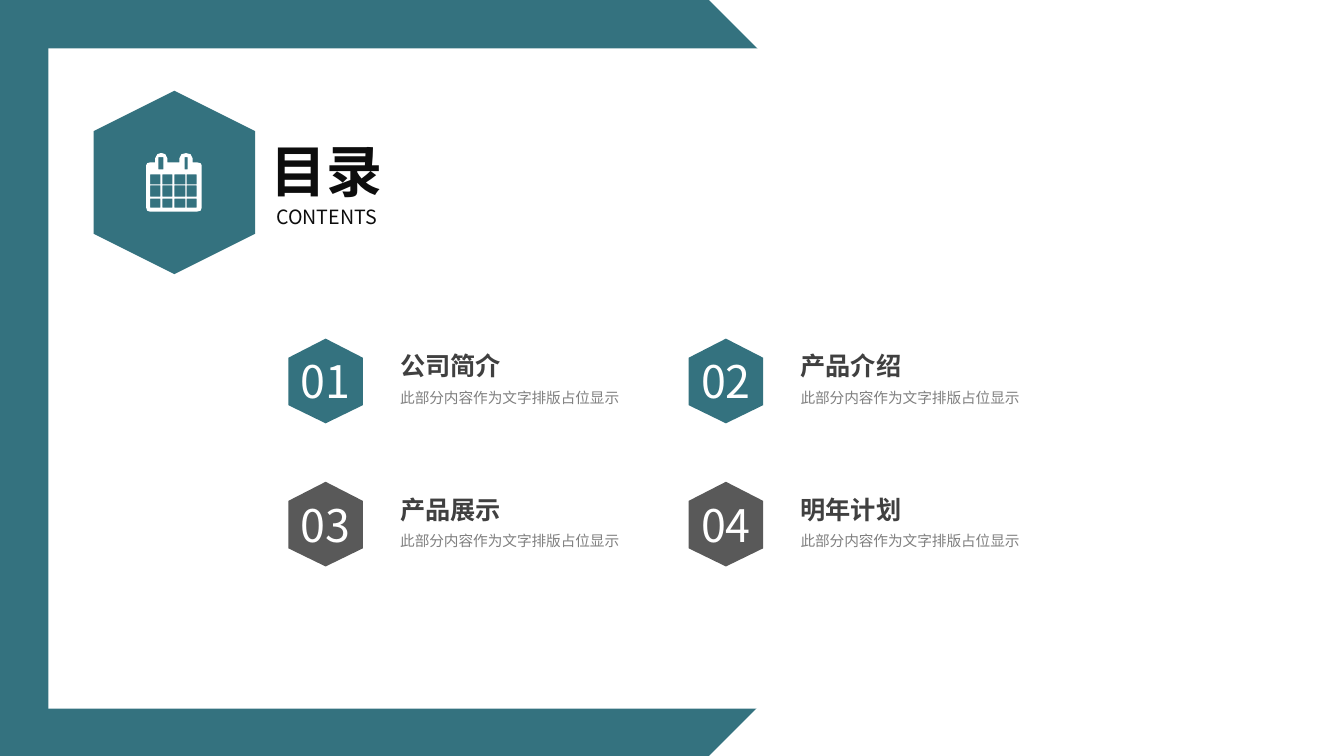
from lxml import etree
from pptx import Presentation
from pptx.dml.color import RGBColor
from pptx.enum.shapes import MSO_SHAPE
from pptx.enum.text import MSO_ANCHOR, MSO_AUTO_SIZE, PP_ALIGN
from pptx.oxml.ns import qn
from pptx.util import Pt

PX = 9144  # EMU per px, 100 px to the inch
FONT = "Noto Sans CJK SC"
COLORS = {
    "teal": "34727F", "dark": "595959", "white": "FFFFFF",
    "ink": "0D0D0D", "heading": "404040", "note": "808080",
}
LEFT, CENTER = PP_ALIGN.LEFT, PP_ALIGN.CENTER
MIDDLE, BOTTOM = MSO_ANCHOR.MIDDLE, MSO_ANCHOR.BOTTOM
NO_FIT = MSO_AUTO_SIZE.NONE

deck = Presentation()
deck.slide_width, deck.slide_height = 1333 * PX, 750 * PX
page = deck.slides.add_slide(deck.slide_layouts[5])


def write(box, text, size, color, bold=False, align=LEFT, anchor=MIDDLE,
          wrap=True, spacing=1.0):
    frame = box.text_frame
    frame.auto_size, frame.word_wrap = NO_FIT, wrap
    frame.vertical_anchor = anchor
    frame.margin_left = frame.margin_right = 0
    frame.margin_top = frame.margin_bottom = 0
    para = frame.paragraphs[0]
    para.alignment, para.line_spacing = align, spacing
    span = para.add_run()
    span.text = text
    span.font.size, span.font.bold, span.font.name = Pt(size), bold, FONT
    span.font.color.rgb = RGBColor.from_string(COLORS[color])
    east_asian = etree.SubElement(span._r.get_or_add_rPr(), qn("a:ea"))
    east_asian.set("typeface", FONT)


def draw_outline(contours, color):
    first, *others = contours
    builder = page.shapes.build_freeform(*first[0], scale=PX)
    builder.add_line_segments(first[1:])
    for contour in others:
        builder.move_to(*contour[0])
        builder.add_line_segments(contour[1:])
    shape = builder.convert_to_shape()
    shape.shadow.inherit = False
    shape.fill.solid()
    shape.fill.fore_color.rgb = RGBColor.from_string(COLORS[color])
    shape.line.fill.background()
    return shape


# Teal frame: an arrow-shaped plate under a white panel
for kind, left, top, width, height, color in (
    (MSO_SHAPE.PENTAGON, 0, 0, 1078, 750, "teal"),
    (MSO_SHAPE.RECTANGLE, 48, 48, 1238, 655, "white"),
):
    plate = page.shapes.add_shape(kind, left * PX, top * PX, width * PX, height * PX)
    plate.shadow.inherit = False
    plate.fill.solid()
    plate.fill.fore_color.rgb = RGBColor.from_string(COLORS[color])
    plate.line.fill.background()

# Large hexagon
draw_outline([[(173, 90), (253, 130), (253, 232), (173, 272), (93, 232), (93, 130)]],
             "teal")

# Calendar icon: body with two rings, then ring slots and day cells as holes
body = [
    (200, 206), (199, 209), (195, 210), (149, 210), (146, 209), (145, 206),
    (145, 164), (146, 162), (149, 161), (154, 161), (154, 157), (156, 153),
    (159, 152), (161, 152), (164, 153), (166, 157), (166, 161), (178, 161),
    (178, 157), (180, 153), (184, 152), (185, 152), (189, 153), (191, 157),
    (191, 161), (195, 161), (199, 162), (200, 164),
]
holes = [(157, 156, 162, 168), (183, 156, 186, 168)]
for top, bottom in ((173, 183), (184, 195), (197, 206)):
    for left, right in ((149, 159), (161, 171), (173, 184), (185, 195)):
        holes.append((left, top, right, bottom))
draw_outline([body] + [[(l, t), (l, b), (r, b), (r, t)] for l, t, r, b in holes],
             "white")

# Title, brought in front of the panel, and its subtitle
title = page.shapes.title
title.left, title.top, title.width, title.height = 253 * PX, 135 * PX, 142 * PX, 67 * PX
page.shapes.element.append(title.element)
write(title, "目录", size=40, color="ink", bold=True, align=CENTER)
subtitle = page.shapes.add_textbox(253 * PX, 202 * PX, 142 * PX, 26 * PX)
write(subtitle, "CONTENTS", size=14, color="ink", align=CENTER)

# Contents entries in a two by two grid
for index, heading in enumerate(("公司简介", "产品介绍", "产品展示", "明年计划")):
    row, column = divmod(index, 2)
    x, y = 286 + 397 * column, 336 + 142 * row
    badge = draw_outline([[(x + 37, y), (x + 74, y + 19), (x + 74, y + 66),
                           (x + 37, y + 84), (x, y + 66), (x, y + 19)]],
                         ("teal", "dark")[row])
    write(badge, f"{index + 1:02}", size=32, color="white", align=CENTER, wrap=False)
    heading_box = page.shapes.add_textbox((x + 111) * PX, (y + 4) * PX, 390 * PX, 38 * PX)
    write(heading_box, heading, size=18, color="heading", bold=True, anchor=BOTTOM)
    note_box = page.shapes.add_textbox((x + 111) * PX, (y + 39) * PX, 390 * PX, 35 * PX)
    write(note_box, "此部分内容作为文字排版占位显示", size=10.5, color="note", spacing=1.2)

deck.save("out.pptx")
